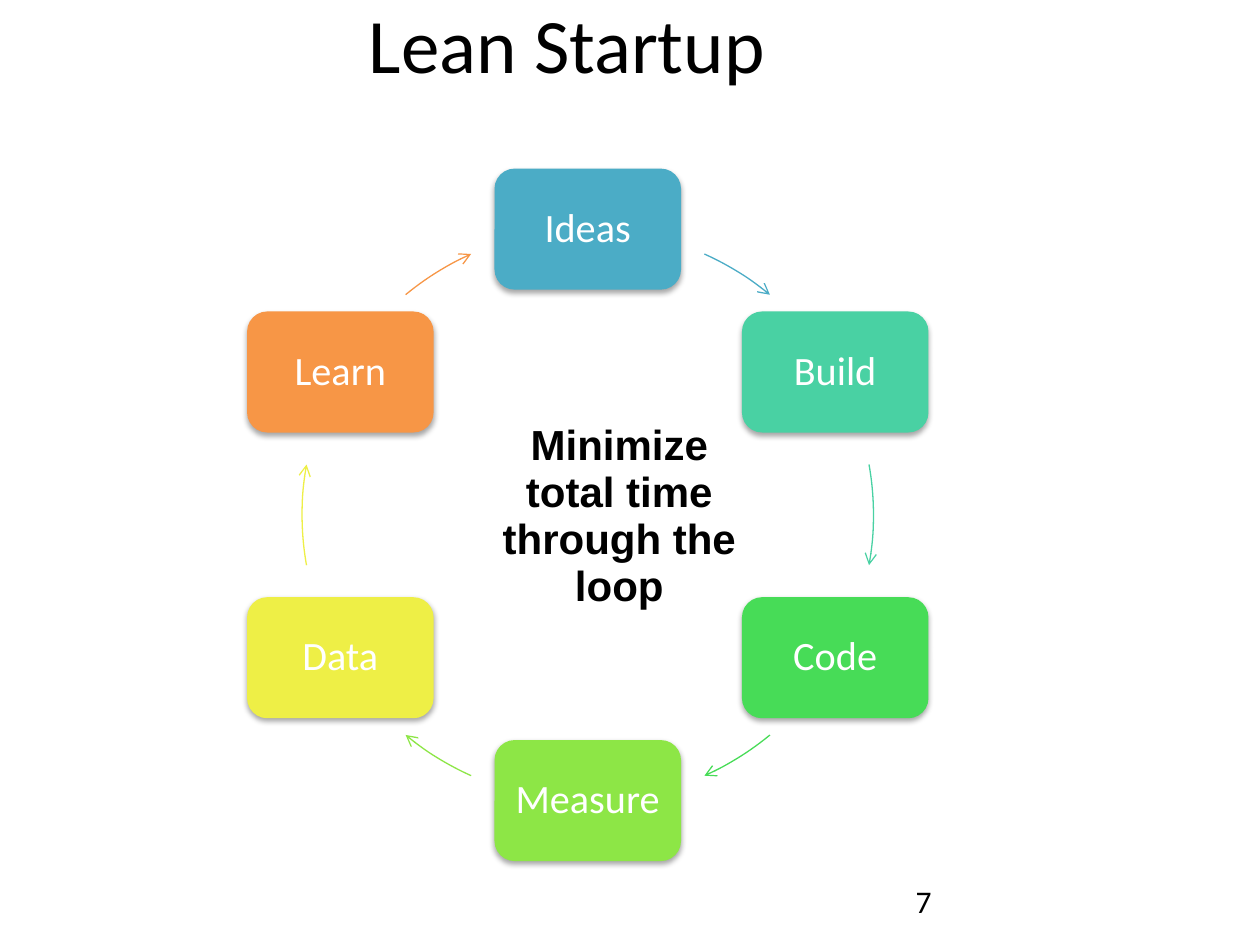
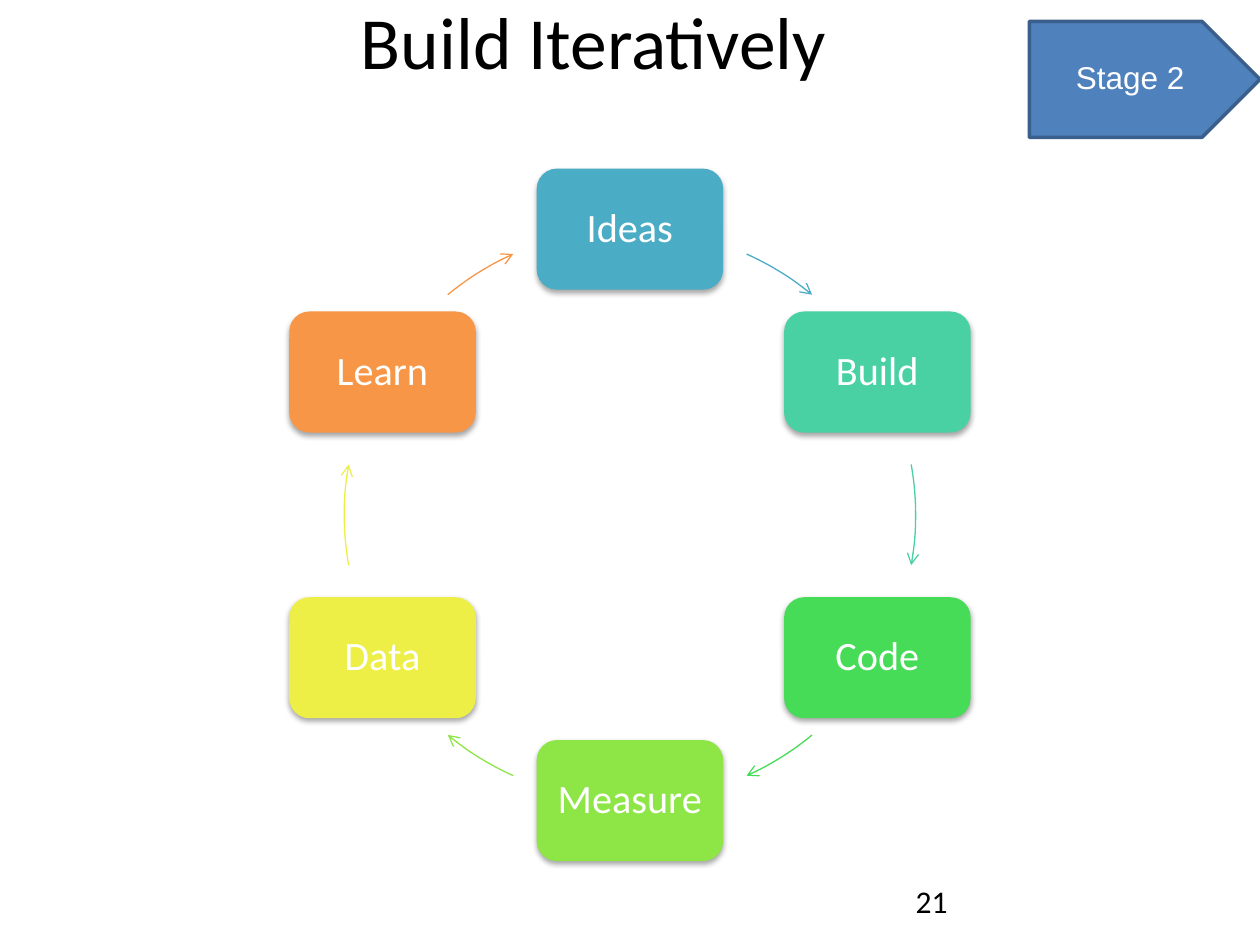
from math import cos, radians, sin

from lxml.etree import SubElement
from pptx import Presentation
from pptx.dml.color import RGBColor
from pptx.enum.shapes import MSO_SHAPE as Preset
from pptx.enum.text import MSO_ANCHOR as Anchor, MSO_AUTO_SIZE as AutoSize, PP_ALIGN as Align
from pptx.oxml.ns import qn
from pptx.util import Cm, Pt

BLACK, WHITE = "000000", "FFFFFF"
PLATE_FILL, PLATE_LINE = "4F81BD", "3A5F8C"
HEADING_FONT, NOTE_FONT = "Calibri", "Arial"
NODE_WIDTH, NODE_HEIGHT = 3.76, 2.44
RING_TOP, RING_SIZE = 4.62, 11.52
STAGES = [
    ("Ideas", "4BACC6", 294.1, 309.6),
    ("Build", "49D1A3", 349.85, 10.15),
    ("Code", "47DC57", 50.4, 65.9),
    ("Measure", "8DE646", 114.1, 129.6),
    ("Data", "EEEF46", 169.85, 190.15),
    ("Learn", "F79646", 230.4, 245.9),
]


def colour(value):
    """Turn a hex string into a colour."""
    return RGBColor.from_string(value)


def write(frame, text, font=HEADING_FONT, size=18, color=BLACK, bold=False,
          align=Align.LEFT, anchor=Anchor.TOP, spacing=1.0):
    """Put one formatted paragraph into a text frame."""
    frame.text = text
    frame.word_wrap = True
    frame.auto_size = AutoSize.NONE
    frame.vertical_anchor = anchor
    paragraph = frame.paragraphs[0]
    paragraph.alignment = align
    paragraph.line_spacing = spacing
    style = paragraph.runs[0].font
    style.name, style.size, style.bold = font, Pt(size), bold
    style.color.rgb = colour(color)


def add_preset(shapes, preset, box, fill=None, line=None, width=0.75):
    """Add a flat preset shape in a box of left, top, width and height."""
    shape = shapes.add_shape(preset, *map(Cm, box))
    shape.shadow.inherit = False
    if fill:
        shape.fill.solid()
        shape.fill.fore_color.rgb = colour(fill)
    else:
        shape.fill.background()
    if line:
        shape.line.color.rgb = colour(line)
        shape.line.width = Pt(width)
    else:
        shape.line.fill.background()
    return shape


def add_soft_shadow(shape):
    """Give a shape a soft shadow below it."""
    effects = shape._element.spPr.find(qn("a:effectLst"))
    shadow = SubElement(effects, qn("a:outerShdw"), blurRad="40000", dist="23000",
                        dir="5400000", rotWithShape="0")
    black = SubElement(shadow, qn("a:srgbClr"), val=BLACK)
    SubElement(black, qn("a:alpha"), val="35000")


def add_node(shapes, center_x, center_y, label, fill):
    """Add a rounded stage box around a centre point."""
    box = (center_x - NODE_WIDTH / 2, center_y - NODE_HEIGHT / 2, NODE_WIDTH, NODE_HEIGHT)
    node = add_preset(shapes, Preset.ROUNDED_RECTANGLE, box, fill=fill)
    add_soft_shadow(node)
    write(node.text_frame, label, size=23, color=WHITE, align=Align.CENTER,
          anchor=Anchor.MIDDLE, spacing=0.9)


def add_arc_arrow(shapes, box, start, end, line):
    """Add an arrow along the circle in a box, between two angles in degrees."""
    arc = add_preset(shapes, Preset.ARC, box, line=line)
    arc.adjustments[0], arc.adjustments[1] = start * 0.6, end * 0.6
    SubElement(arc._element.spPr.find(qn("a:ln")), qn("a:tailEnd"), type="arrow")


def add_cycle(slide, left, top, size):
    """Draw the ring of stages on a circle in a square box."""
    shapes = slide.shapes.add_group_shape().shapes
    radius = size / 2
    for index, (label, fill, start, end) in enumerate(STAGES):
        angle = radians(360 / len(STAGES) * index - 90)
        add_node(shapes, left + radius * (1 + cos(angle)),
                 top + radius * (1 + sin(angle)), label, fill)
        add_arc_arrow(shapes, (left, top, size, size), start, end, fill)


def add_text(slide, box, text, **style):
    """Add a text box with one formatted paragraph."""
    write(slide.shapes.add_textbox(*map(Cm, box)).text_frame, text, **style)


def add_stage_plate(slide, box, text):
    """Add the pointed stage label."""
    plate = add_preset(slide.shapes, Preset.PENTAGON, box, PLATE_FILL, PLATE_LINE, 2)
    write(plate.text_frame, text, font=NOTE_FONT, color=WHITE, align=Align.CENTER,
          anchor=Anchor.MIDDLE, spacing=0.93)


def add_cycle_slide(presentation, title, number, title_width, title_size, ring_left):
    """Add a slide with a title, a page number and the ring of stages."""
    slide = presentation.slides.add_slide(presentation.slide_layouts[5])
    heading = slide.shapes.title
    heading.left, heading.top, heading.width, heading.height = map(
        Cm, (0, -0.2, title_width, 3.99))
    write(heading.text_frame, title, size=title_size, align=Align.CENTER)
    add_text(slide, (18.21, 17.65, 5.92, 1.02), number)
    add_cycle(slide, ring_left, RING_TOP, RING_SIZE)
    return slide


def main():
    """Build and save the presentation."""
    presentation = Presentation()
    presentation.slide_width, presentation.slide_height = Cm(25.4), Cm(19.05)
    lean = add_cycle_slide(presentation, "Lean Startup", "7", 22.86, 44, 6.09)
    add_text(lean, (9.73, 8.41, 5.51, 4.06), "Minimize total time through the loop",
             font=NOTE_FONT, size=24, bold=True, align=Align.CENTER, spacing=0.93)
    iterative = add_cycle_slide(presentation, "Build Iteratively", "21", 23.93, 42, 6.94)
    add_stage_plate(iterative, (20.75, 0.43, 4.65, 2.34), "Stage 2")
    presentation.save("out.pptx")


if __name__ == "__main__":
    main()
